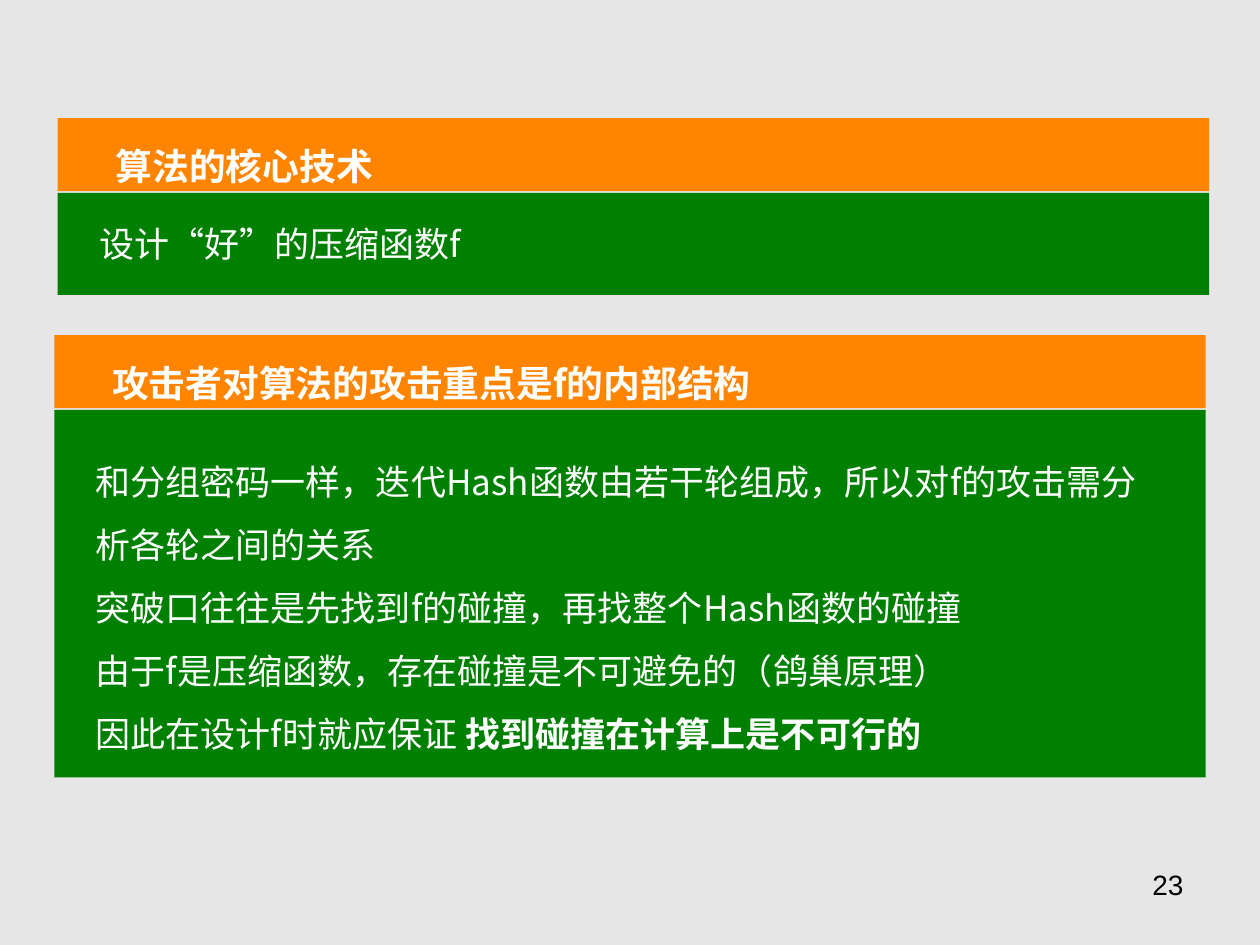
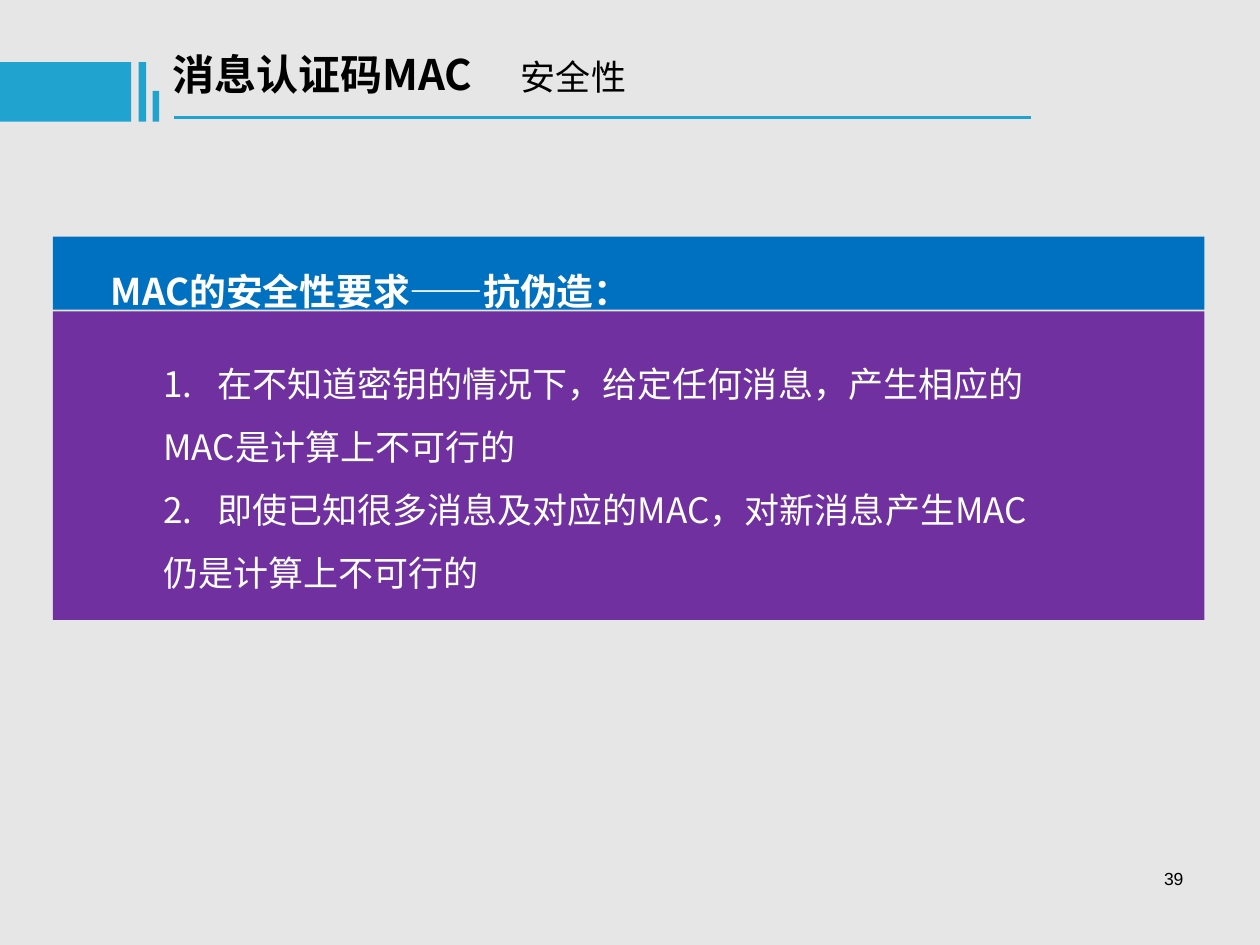
import pptx
import pptx.util
import pptx.dml.color
import pptx.enum.shapes
import pptx.enum.text
import pptx.oxml.ns
from lxml import etree

Pt = pptx.util.Pt
PP = pptx.enum.text.PP_ALIGN
qn = pptx.oxml.ns.qn

COLORS = {
    "background": "E7E6E6", "black": "000000", "white": "FFFFFF",
    "orange": "FF8500", "green": "008000", "accent": "21A3D0",
    "blue": "0070C0", "purple": "7030A0",
}
CJK = "Noto Sans CJK SC"
PANEL_W, HEADING_H, BODY_DY = 658, 41.75, 42.75


def rgb(name):
    """Return the named colour."""
    return pptx.dml.color.RGBColor.from_string(COLORS[name])


def format_run(r, size, color, font, bold):
    """Format one run, for Latin and East Asian letters alike."""
    r.font.size, r.font.bold, r.font.name = Pt(size), bold, font
    r.font.color.rgb = rgb(color)
    etree.SubElement(r.font._element, qn("a:ea"), typeface=font)


def write(sp, paragraphs, size=20, color="white", font=CJK, bold=False,
          align=PP.LEFT, spacing=1.0, tab=None, inset=(7.2, 3.6)):
    """Fill a shape with paragraphs, each a list of (text, overrides) runs."""
    tf = sp.text_frame
    tf.word_wrap = True
    tf.auto_size = pptx.enum.text.MSO_AUTO_SIZE.NONE
    tf.vertical_anchor = pptx.enum.text.MSO_ANCHOR.TOP
    tf.margin_left = tf.margin_right = Pt(inset[0])
    tf.margin_top = tf.margin_bottom = Pt(inset[1])
    for i, runs in enumerate(paragraphs):
        p = tf.add_paragraph() if i else tf.paragraphs[0]
        if tab:
            tabs = etree.SubElement(p._p.get_or_add_pPr(), qn("a:tabLst"))
            etree.SubElement(tabs, qn("a:tab"), pos=str(Pt(tab)), algn="l")
        p.alignment, p.line_spacing = align, spacing
        for text, changes in runs:
            r = p.add_run()
            r.text = text
            style = dict(size=size, color=color, font=font, bold=bold)
            format_run(r, **{**style, **changes})


def text_box(s, box, paragraphs, **style):
    """Add a text box at the given left, top, width and height."""
    sp = s.shapes.add_textbox(*map(Pt, box))
    write(sp, paragraphs, **style)


def rect(s, box, color):
    """Add a plain filled rectangle."""
    sp = s.shapes.add_shape(pptx.enum.shapes.MSO_SHAPE.RECTANGLE, *map(Pt, box))
    sp.shadow.inherit = False
    sp.fill.solid()
    sp.fill.fore_color.rgb = rgb(color)
    sp.line.fill.background()


def panel(s, left, top, body_h, colors, heading, paragraphs, heading_dy=-1.5,
          indent=16.5, text_w=624, **style):
    """Add a heading band over a body block, both with text."""
    body_top = top + BODY_DY
    rect(s, (left, body_top, PANEL_W, body_h), colors[1])
    text_box(s, (left + indent, body_top + 13.5, text_w, body_h - 23),
             paragraphs, **style)
    rect(s, (left, top, PANEL_W, HEADING_H), colors[0])
    text_box(s, (left + 26, top + heading_dy, 615, 45.5), [[(heading, {})]],
             size=21, bold=True, spacing=1.5)


def title_band(s, left, top, runs):
    """Place the title with its accent bars and underline."""
    sp = s.shapes.title
    sp.left, sp.top, sp.width, sp.height = map(Pt, (left + 91.5, top, 492.5, 36))
    write(sp, [runs], size=24, color="black", bold=True, tab=199)
    for x, y, w, h in ((0, 11.5, 75, 34), (79.25, 11.5, 4.25, 34),
                       (87.25, 28, 3.75, 17.5)):
        rect(s, (left + x, top + y, w, h), "accent")
    y = top + 43.25
    line = s.shapes.add_connector(pptx.enum.shapes.MSO_CONNECTOR.STRAIGHT,
                                  *map(Pt, (left + 99.25, y, left + 589, y)))
    line.line.color.rgb = rgb("accent")
    line.line.width = Pt(1.5)
    etree.SubElement(line._element.spPr, qn("a:effectLst"))


def page_number(s, number, size):
    """Add the page number at the lower right."""
    text_box(s, (516, 491.75, 168, 37.5), [[(number, {})]], size=size,
             color="black", font="Arial", align=PP.RIGHT, inset=(7.75, 4.25))


def compression_slide(prs):
    """Build the slide on the compression function."""
    s = prs.slides.add_slide(prs.slide_layouts[6])
    page_number(s, "23", 16)
    colors = ("orange", "green")
    panel(s, 33, 67.5, 58.25, colors, "算法的核心技术",
          [[("设计“好”的压缩函数f", {})]])
    panel(s, 31, 191.5, 210, colors, "攻击者对算法的攻击重点是f的内部结构", [
        [("和分组密码一样，迭代Hash函数由若干轮组成，所以对f的攻击需分析各轮之间的关系", {})],
        [("突破口往往是先找到f的碰撞，再找整个Hash函数的碰撞", {})],
        [("由于f是压缩函数，存在碰撞是不可避免的（鸽巢原理）", {})],
        [("因此在设计f时就应保证 ", {}),
         ("找到碰撞在计算上是不可行的", {"bold": True})],
    ], spacing=1.5)


def mac_slide(prs):
    """Build the slide on the security of the MAC."""
    s = prs.slides.add_slide(prs.slide_layouts[5])
    page_number(s, "39", 10)
    title_band(s, 0, 24, [("消息认证码MAC\t", {}),
                          ("安全性", {"size": 20, "bold": False})])
    panel(s, 30.25, 135.25, 176.25, ("blue", "purple"),
          "MAC的安全性要求——抗伪造：", [
              [("1.\t在不知道密钥的情况下，给定任何消息，产生相应的MAC是计算上不可行的", {})],
              [("2.\t即使已知很多消息及对应的MAC，对新消息产生MAC仍是计算上不可行的", {})],
          ], heading_dy=2, indent=56, text_w=512, spacing=1.5, tab=30.75)


def main():
    """Build and save the deck."""
    prs = pptx.Presentation()
    prs.slide_width, prs.slide_height = Pt(720), Pt(540)
    fill = prs.slide_master.background.fill
    fill.solid()
    fill.fore_color.rgb = rgb("background")
    compression_slide(prs)
    mac_slide(prs)
    prs.save("out.pptx")


if __name__ == "__main__":
    main()
